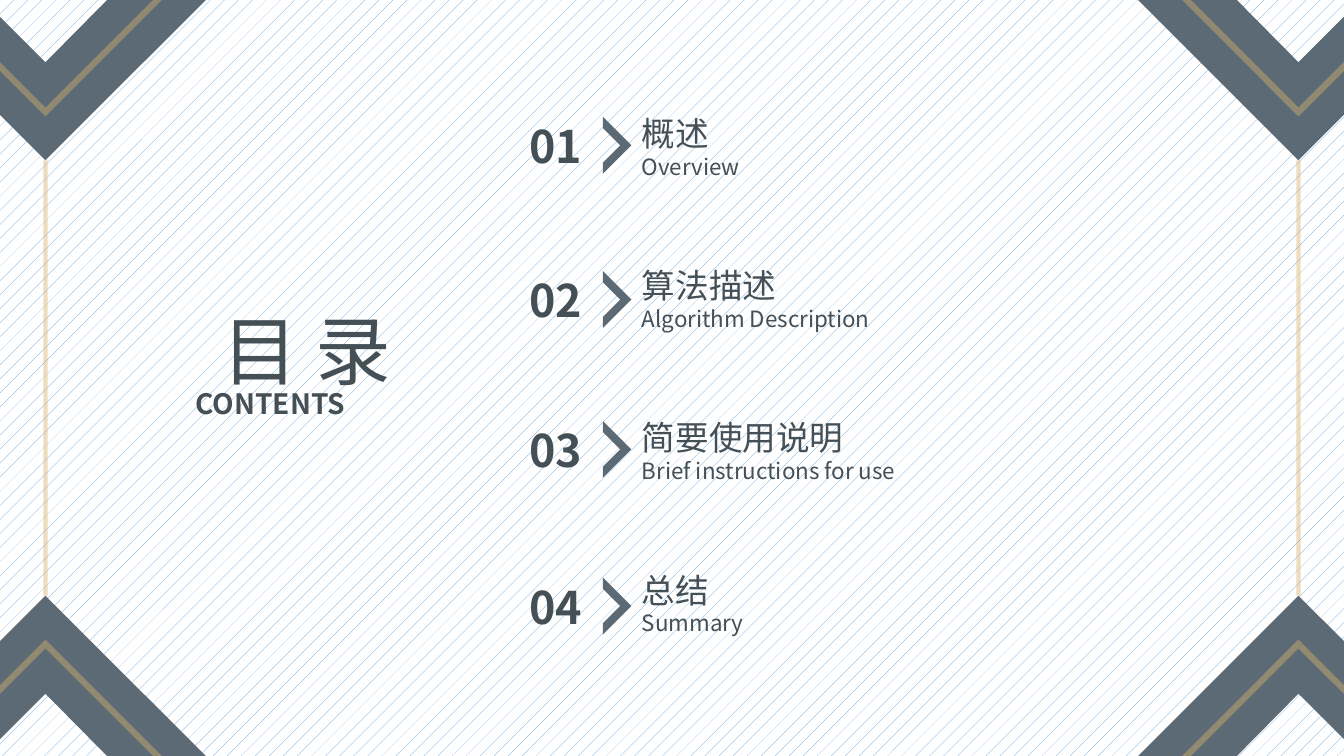
from dataclasses import dataclass
from itertools import product

from lxml.etree import SubElement
from pptx import Presentation
from pptx.dml.color import RGBColor as RGB
from pptx.enum.dml import MSO_PATTERN as PATTERN
from pptx.enum.shapes import MSO_CONNECTOR as CONNECTOR, MSO_SHAPE as SHAPE
from pptx.enum.text import MSO_AUTO_SIZE as AUTO_SIZE, PP_ALIGN as ALIGN
from pptx.oxml.ns import qn
from pptx.util import Pt


@dataclass(frozen=True)
class Theme:
    font: str = "Noto Sans CJK SC"
    text: RGB = RGB(0x44, 0x4F, 0x56)
    slate: RGB = RGB(0x5B, 0x6A, 0x74)
    gold: RGB = RGB(0xD7, 0xB2, 0x6C)
    gold_alpha: int = 43000
    hatch: RGB = RGB(0x5B, 0x9B, 0xD5)
    white: RGB = RGB(0xFF, 0xFF, 0xFF)
    heading: int = 54
    number: int = 32
    title: int = 24
    caption: int = 20
    subtitle: int = 16


THEME = Theme()
WIDTH, HEIGHT = 960, 540
TIP_X, TIP_Y = 32.5, 114.5

# Corner ornament, measured from the top left corner of the slide
CHEVRON = [(76.5, 0), (147, 0), (TIP_X, TIP_Y), (0, 82), (0, 12), (TIP_X, 44.5)]
STRIPE = [(117, -4.5), (TIP_X, 80), (-3, 44.5)]

# Number, top of the number, title, subtitle
CHAPTERS = [
    ("01", 81.4, "概述", "Overview"),
    ("02", 191.6, "算法描述", "Algorithm Description"),
    ("03", 298.6, "简要使用说明", "Brief instructions for use"),
    ("04", 410.4, "总结", "Summary"),
]
TITLE_TOP, TITLE_PITCH = 77.2, 108.7


def paint_background(s):
    fill = s.background.fill
    fill.patterned()
    fill.pattern = PATTERN.PERCENT_5
    fill.fore_color.rgb = THEME.hatch
    fill.back_color.rgb = THEME.white


def fill_slate(sp):
    sp.shadow.inherit = False
    sp.fill.solid()
    sp.fill.fore_color.rgb = THEME.slate
    sp.line.fill.background()


def stroke_gold(sp, width):
    """Give a shape or connector a translucent gold line with sharp joins."""
    sp.line.color.rgb = THEME.gold
    sp.line.width = Pt(width)
    ln = sp.line._get_or_add_ln()
    color = ln.find(qn("a:solidFill")).find(qn("a:srgbClr"))
    SubElement(color, qn("a:alpha"), val=str(THEME.gold_alpha))
    SubElement(ln, qn("a:miter"), lim="800000")


def add_outline(s, points, close):
    (x, y), *rest = [(Pt(x), Pt(y)) for x, y in points]
    builder = s.shapes.build_freeform(x, y)
    builder.add_line_segments(rest, close=close)
    return builder.convert_to_shape()


def add_corner(s, right, bottom):
    def mirror(points):
        return [(WIDTH - x if right else x, HEIGHT - y if bottom else y)
                for x, y in points]

    fill_slate(add_outline(s, mirror(CHEVRON), True))
    stripe = add_outline(s, mirror(STRIPE), False)
    stripe.shadow.inherit = False
    stripe.fill.background()
    stroke_gold(stripe, 4.5)


def add_side_line(s, x):
    line = s.shapes.add_connector(CONNECTOR.STRAIGHT, Pt(x), Pt(TIP_Y),
                                  Pt(x), Pt(HEIGHT - TIP_Y))
    stroke_gold(line, 3)
    SubElement(line._element.spPr, qn("a:effectLst"))


def add_text(s, text, left, top, width, height, size, bold=False, align=ALIGN.LEFT):
    box = s.shapes.add_textbox(Pt(left), Pt(top), Pt(width), Pt(height))
    tf = box.text_frame
    tf.word_wrap = True
    tf.auto_size = AUTO_SIZE.SHAPE_TO_FIT_TEXT
    p = tf.paragraphs[0]
    p.alignment = align
    r = p.add_run()
    r.text = text
    formats = {"name": THEME.font, "size": Pt(size), "bold": bold}
    for name, value in formats.items():
        setattr(r.font, name, value)
    r.font.color.rgb = THEME.text
    SubElement(r._r.get_or_add_rPr(), qn("a:ea"), typeface=THEME.font)


def add_arrow(s, left, top):
    arrow = s.shapes.add_shape(SHAPE.HALF_FRAME, Pt(left), Pt(top), Pt(28.8), Pt(28.8))
    arrow.rotation = 135
    arrow.adjustments[0] = 0.194
    arrow.adjustments[1] = 0.197
    fill_slate(arrow)


def add_chapter(s, number, number_top, title, subtitle, title_top):
    add_arrow(s, 416.2, number_top + 8)
    add_text(s, number, 361.4, number_top, 71.3, 46, THEME.number, True, ALIGN.CENTER)
    add_text(s, title, 451.4, title_top, 253, 36, THEME.title)
    add_text(s, subtitle, 451.4, title_top + 28.4, 414, 26.6, THEME.subtitle)


def main():
    prs = Presentation()
    prs.slide_width, prs.slide_height = Pt(WIDTH), Pt(HEIGHT)
    s = prs.slides.add_slide(prs.slide_layouts[6])
    paint_background(s)

    for right, bottom in product((False, True), repeat=2):
        add_corner(s, right, bottom)
    for x in (TIP_X, WIDTH - TIP_X):
        add_side_line(s, x)

    add_text(s, "目 录", 132.5, 213.8, 173.5, 72.7, THEME.heading, align=ALIGN.CENTER)
    add_text(s, "CONTENTS", 132.5, 272.2, 172.8, 31.7, THEME.caption, True, ALIGN.JUSTIFY)
    for i, chapter in enumerate(CHAPTERS):
        add_chapter(s, *chapter, TITLE_TOP + i * TITLE_PITCH)

    prs.save("out.pptx")


if __name__ == "__main__":
    main()
